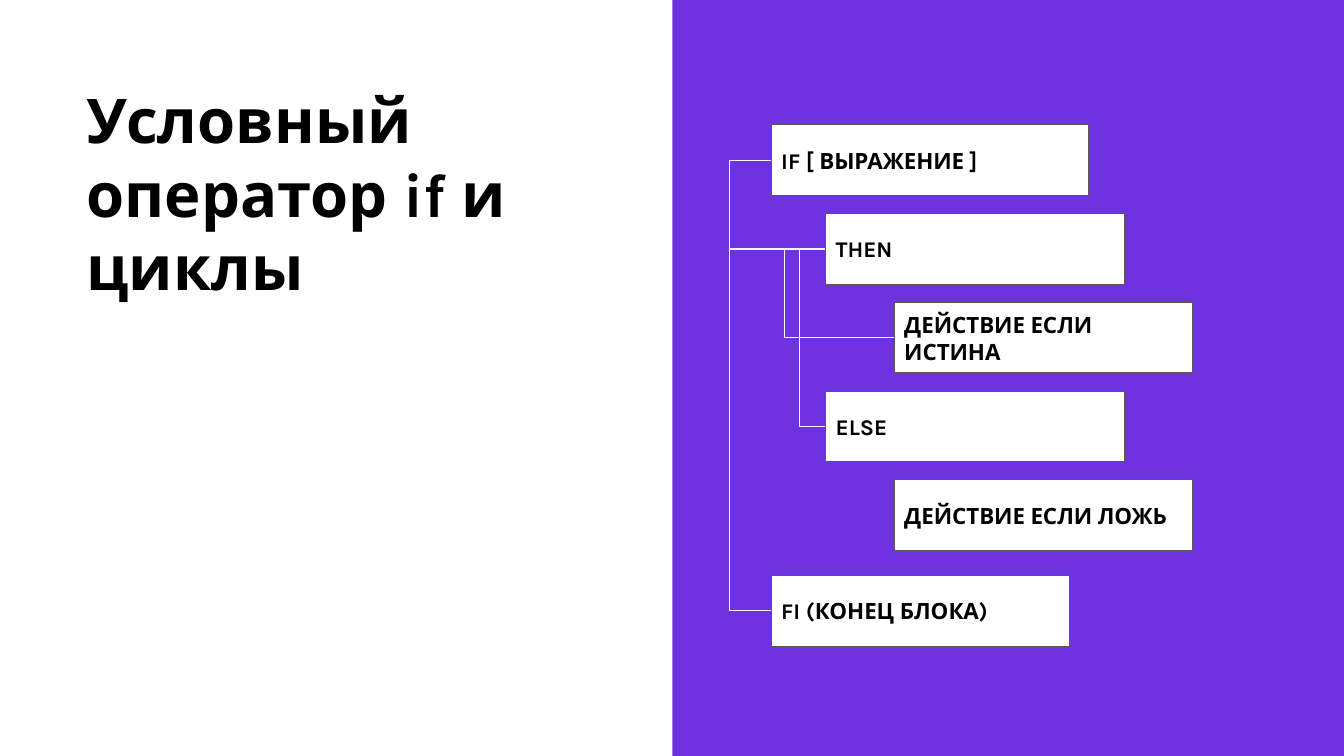
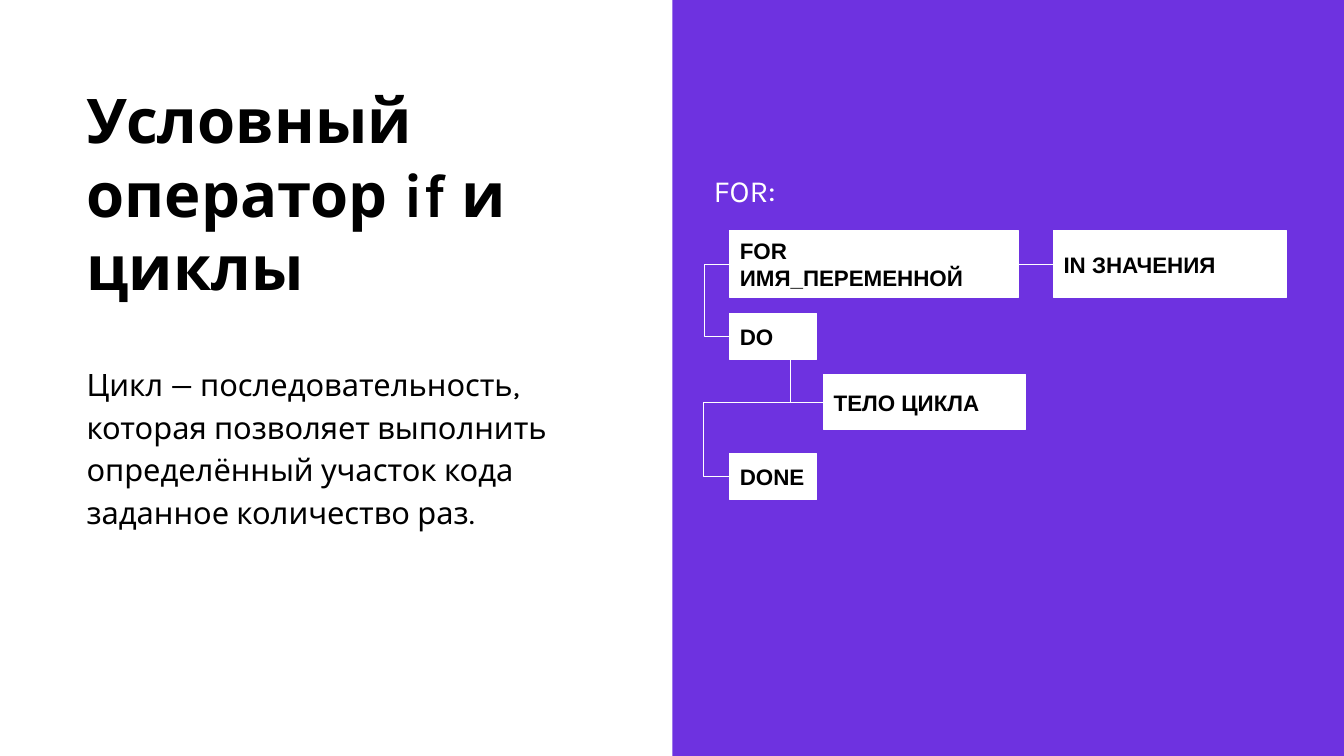
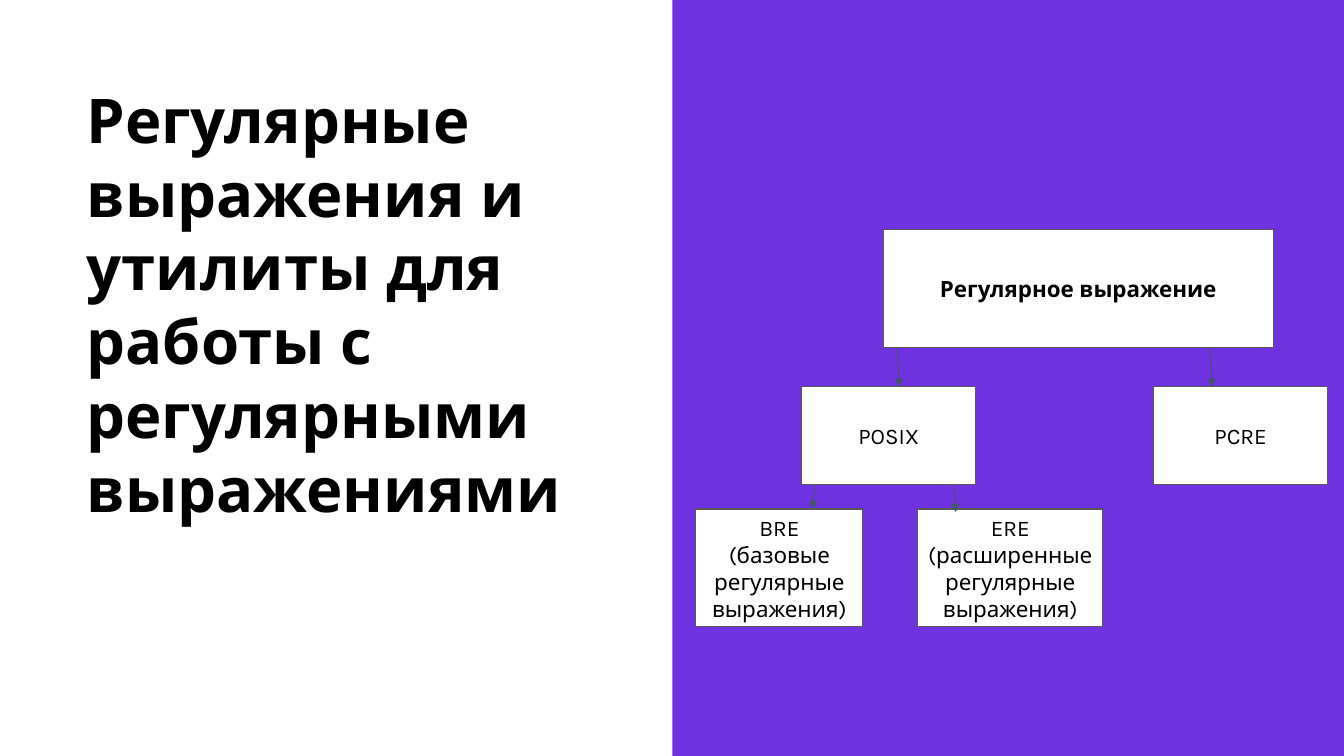
from lxml import etree
from pptx import Presentation
from pptx.dml.color import RGBColor
from pptx.enum import shapes, text
from pptx.oxml import ns
from pptx.util import Inches, Pt

WHITE = RGBColor(0xFF, 0xFF, 0xFF)
BLACK = RGBColor(0, 0, 0)
VIOLET = RGBColor(0x6E, 0x32, 0xE0)
GREY = RGBColor(0x59, 0x59, 0x59)
SLATE = RGBColor(0x44, 0x54, 0x6A)

LEFT = text.PP_ALIGN.LEFT
CENTER = text.PP_ALIGN.CENTER
HAIR = 0.01


class Deck:
    """Split slides: a title on white, a diagram on a violet panel."""

    def __init__(self):
        self.prs = Presentation()
        self.prs.slide_width, self.prs.slide_height = Inches(13.33), Inches(7.5)
        self.slide = None

    def new_slide(self, title, title_width=5.12, body=None):
        self.slide = self.prs.slides.add_slide(self.prs.slide_layouts[6])
        self.rect(6.67, 0, 6.67, 7.5, VIOLET)
        frame = self.text_frame(0.76, 0.76, title_width, 5.92, margin_y=0.05)
        self.styled_run(frame.paragraphs[0], title, 44, bold=True)
        if body:
            paragraph = frame.add_paragraph()
            paragraph.line_spacing = 1.15
            paragraph.space_before = Pt(41)
            self.styled_run(paragraph, body, 22)

    def rect(self, x, y, w, h, fill, border=None):
        shape = self.slide.shapes.add_shape(
            shapes.MSO_SHAPE.RECTANGLE, Inches(x), Inches(y), Inches(w), Inches(h))
        shape.shadow.inherit = False
        shape.fill.solid()
        shape.fill.fore_color.rgb = fill
        if border is None:
            shape.line.fill.background()
        else:
            shape.line.color.rgb = border
            shape.line.width = Pt(0.75)
        return shape

    def text_frame(self, x, y, w, h, margin_y=0.1):
        frame = self.slide.shapes.add_textbox(
            Inches(x), Inches(y), Inches(w), Inches(h)).text_frame
        self.set_frame(frame, margin_y)
        return frame

    def set_frame(self, frame, margin_y=0.1):
        frame.word_wrap = True
        frame.margin_left = frame.margin_right = Inches(0.1)
        frame.margin_top = frame.margin_bottom = Inches(margin_y)

    def styled_run(self, paragraph, words, size, bold=False, color=BLACK, font="Karla"):
        run = paragraph.add_run()
        run.text = words
        run.font.size = Pt(size)
        run.font.bold = bold
        run.font.name = font
        run.font.color.rgb = color

    def block(self, x, y, w, h, *lines, border=GREY, bold=True, font="Karla", align=LEFT):
        frame = self.rect(x, y, w, h, WHITE, border).text_frame
        self.set_frame(frame)
        frame.vertical_anchor = text.MSO_ANCHOR.MIDDLE
        for index, words in enumerate(lines):
            paragraph = frame.add_paragraph() if index else frame.paragraphs[0]
            paragraph.alignment = align
            self.styled_run(paragraph, words, 16, bold, font=font)

    def label(self, x, y, w, h, words):
        paragraph = self.text_frame(x, y, w, h).paragraphs[0]
        self.styled_run(paragraph, words, 22, color=WHITE)

    def line(self, start, end, color=WHITE, kind=shapes.MSO_CONNECTOR.STRAIGHT):
        connector = self.slide.shapes.add_connector(
            kind, *(Inches(value) for value in (*start, *end)))
        connector.line.color.rgb = color
        connector.line.width = Pt(0.75)
        etree.SubElement(connector.element.spPr, ns.qn("a:effectLst"))
        return connector

    def arrow(self, start, end):
        outline = self.line(start, end, SLATE).get_or_add_ln()
        etree.SubElement(outline, ns.qn("a:tailEnd"), type="triangle")

    def bend(self, start, end, via_x):
        if start[0] == end[0]:
            end = (end[0] + HAIR, end[1])
        connector = self.line(start, end, kind=shapes.MSO_CONNECTOR.ELBOW)
        share = (via_x - start[0]) / (end[0] - start[0])
        geometry = connector.element.spPr.find(ns.qn("a:prstGeom"))
        guides = geometry.find(ns.qn("a:avLst"))
        if guides is None:
            guides = etree.SubElement(geometry, ns.qn("a:avLst"))
        etree.SubElement(guides, ns.qn("a:gd"), name="adj1",
                         fmla=f"val {round(share * 100000)}")


def if_slide(deck):
    deck.new_slide("Условный оператор if и циклы")
    outer, inner, action = 7.65, 8.19, 8.87
    height, width = 0.7, 2.96
    tops = [1.24 + 0.88 * row for row in range(5)] + [5.71]
    if_y, then_y, true_y, else_y, _, fi_y = [top + height / 2 for top in tops]

    deck.bend((outer, if_y), (inner, then_y), 7.24)
    deck.bend((inner, then_y), (action, true_y), 7.78)
    deck.bend((inner, then_y), (outer, fi_y), 7.24)
    deck.bend((inner, then_y), (inner, else_y), 7.93)

    steps = [
        (outer, 3.15, "IF [ ВЫРАЖЕНИЕ ]"),
        (inner, width, "THEN"),
        (action, width, "ДЕЙСТВИЕ ЕСЛИ ИСТИНА"),
        (inner, width, "ELSE"),
        (action, width, "ДЕЙСТВИЕ ЕСЛИ ЛОЖЬ"),
        (outer, width, "FI (КОНЕЦ БЛОКА)"),
    ]
    for top, (x, w, words) in zip(tops, steps):
        deck.block(x, top, w, height, words)


def for_slide(deck):
    deck.new_slide(
        "Условный оператор if и циклы",
        body="Цикл — последовательность, которая позволяет выполнить "
             "определённый участок кода заданное количество раз.")
    left, body_x = 7.24, 8.17
    for_y, do_y, body_y, done_y = 2.62, 3.34, 3.99, 4.73

    deck.line((10.1, for_y), (10.45, for_y))
    deck.bend((left, for_y), (left, do_y), 6.98)
    deck.bend((7.52, 3.57), (body_x, body_y), 7.84)
    deck.bend((body_x, body_y), (left, done_y), 6.98)

    for x, middle, w, h, words in [
        (left, for_y, 2.86, 0.66, "FOR ИМЯ_ПЕРЕМЕННОЙ"),
        (10.45, for_y, 2.31, 0.66, "IN ЗНАЧЕНИЯ"),
        (left, do_y, 0.86, 0.46, "DO"),
        (body_x, body_y, 2, 0.55, "ТЕЛО ЦИКЛА"),
        (left, done_y, 0.86, 0.46, "DONE"),
    ]:
        deck.block(x, middle - h / 2, w, h, words, border=WHITE, font="Arial")
    deck.label(6.98, 1.6, 5.93, 0.69, "FOR:")


def regex_slide(deck):
    deck.new_slide("Регулярные выражения и утилиты для работы с "
                   "регулярными выражениями", title_width=5.45)
    deck.block(8.76, 2.28, 3.87, 1.17, "Регулярное выражение", align=CENTER)
    for x, y, w, h, *lines in [
        (7.95, 3.83, 1.73, 0.98, "POSIX"),
        (11.44, 3.83, 1.73, 0.98, "PCRE"),
        (6.9, 5.05, 1.66, 1.17, "BRE", "(базовые регулярные выражения)"),
        (9.1, 5.05, 1.84, 1.17, "ERE (расширенные регулярные выражения)"),
    ]:
        deck.block(x, y, w, h, *lines, bold=False, align=CENTER)
    for start, end in [
        ((12, 3.45), (12.02, 3.84)),
        ((8.9, 3.45), (8.92, 3.84)),
        ((8.08, 4.82), (8.06, 5.05)),
        ((9.46, 4.82), (9.48, 5.08)),
    ]:
        deck.arrow(start, end)


def main():
    deck = Deck()
    if_slide(deck)
    for_slide(deck)
    regex_slide(deck)
    deck.prs.save("out.pptx")


if __name__ == "__main__":
    main()
